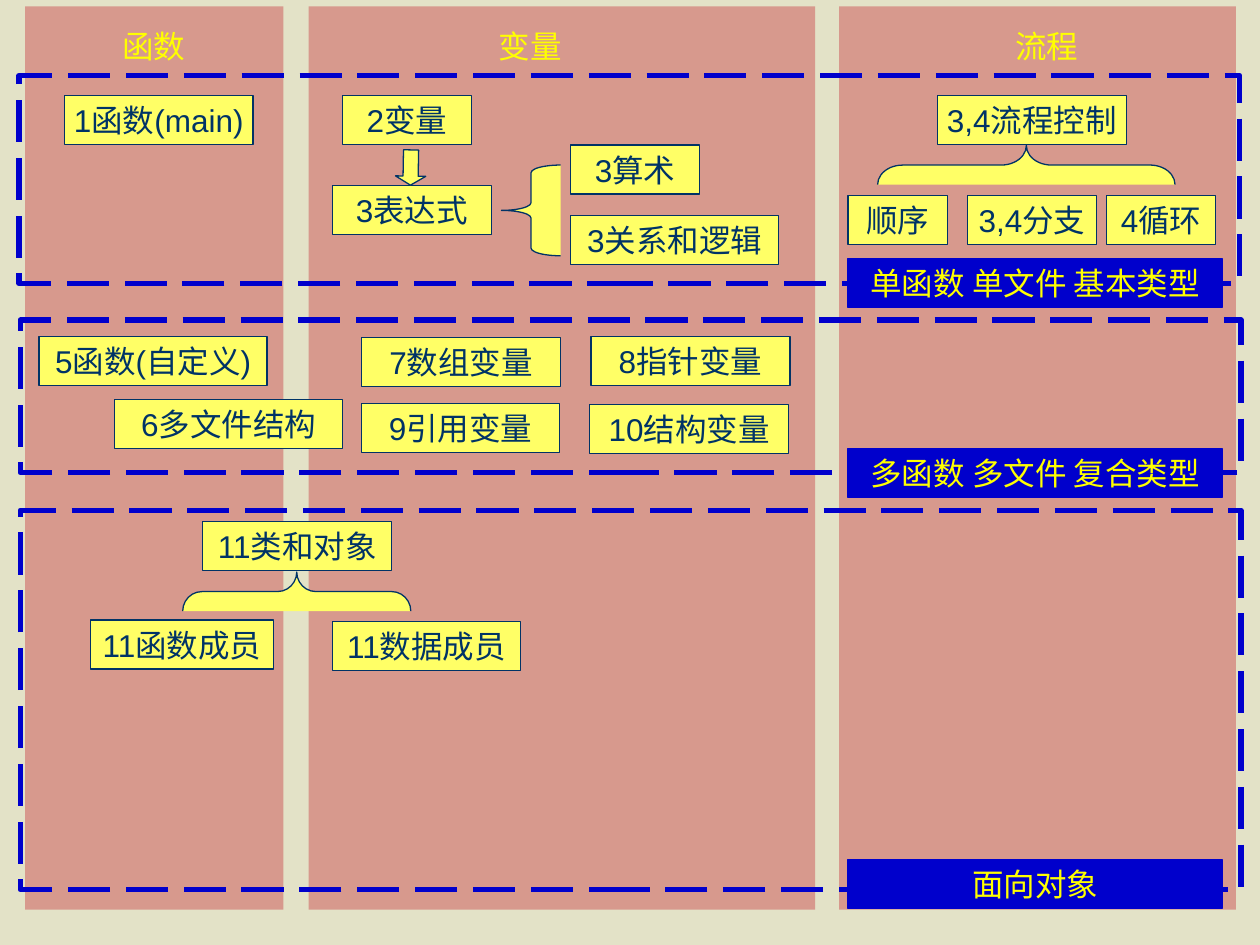
from dataclasses import dataclass

from pptx import Presentation
from pptx.dml.color import RGBColor
from pptx.enum.dml import MSO_LINE
from pptx.enum.shapes import MSO_SHAPE as Geo
from pptx.enum.text import MSO_ANCHOR, PP_ALIGN
from pptx.util import Inches, Pt

CREAM = RGBColor(0xE3, 0xE2, 0xC7)
ROSE = RGBColor(0xD7, 0x99, 0x8D)
LEMON = RGBColor(0xFF, 0xFF, 0x66)
YELLOW = RGBColor(0xFF, 0xFF, 0x00)
NAVY = RGBColor(0x00, 0x33, 0x66)
BLUE = RGBColor(0x00, 0x00, 0xCC)

BOX_H = 0.39
HEADING_W, HEADING_H = 1.1, 0.47
FRAME_W = 9.69
BANNER_X, BANNER_W = 6.73, 2.97


@dataclass(frozen=True)
class Column:
    x: float
    w: float
    heading: str
    heading_x: float


@dataclass(frozen=True)
class Card:
    x: float
    y: float
    w: float
    text: str


@dataclass(frozen=True)
class Stage:
    x: float
    y: float
    h: float
    banner_y: float
    text: str


@dataclass(frozen=True)
class Symbol:
    geo: Geo
    x: float
    y: float
    w: float
    h: float
    rotation: float
    adjustments: tuple[float, float]


COLUMNS = [
    Column(6.66, 3.15, "流程", 7.76),
    Column(2.45, 4.02, "变量", 3.66),
    Column(0.2, 2.05, "函数", 0.67),
]

CARDS = [
    Card(0.51, 0.76, 1.5, "1函数(main)"),
    Card(2.72, 0.76, 1.02, "2变量"),
    Card(2.64, 1.47, 1.26, "3表达式"),
    Card(4.53, 1.15, 1.02, "3算术"),
    Card(4.53, 1.71, 1.65, "3关系和逻辑"),
    Card(7.44, 0.76, 1.5, "3,4流程控制"),
    Card(6.73, 1.55, 0.79, "顺序"),
    Card(7.68, 1.55, 1.02, "3,4分支"),
    Card(8.78, 1.55, 0.87, "4循环"),
    Card(0.31, 2.67, 1.81, "5函数(自定义)"),
    Card(0.91, 3.17, 1.81, "6多文件结构"),
    Card(2.87, 2.68, 1.58, "7数组变量"),
    Card(4.69, 2.67, 1.58, "8指针变量"),
    Card(2.87, 3.2, 1.57, "9引用变量"),
    Card(4.68, 3.21, 1.58, "10结构变量"),
    Card(1.61, 4.14, 1.5, "11类和对象"),
    Card(0.72, 4.92, 1.45, "11函数成员"),
    Card(2.64, 4.93, 1.49, "11数据成员"),
]

SYMBOLS = [
    Symbol(Geo.RIGHT_ARROW, 3.12, 1.21, 0.28, 0.24, 91, (0.5, 0.3)),
    Symbol(Geo.LEFT_BRACE, 3.98, 1.31, 0.47, 0.72, 0, (0.13, 0.5)),
    Symbol(Geo.LEFT_BRACE, 7.99, 0.13, 0.31, 2.36, 90, (0.64, 0.5)),
    Symbol(Geo.LEFT_BRACE, 2.2, 3.79, 0.31, 1.81, 90, (0.49, 0.5)),
]

STAGES = [
    Stage(0.15, 0.6, 1.65, 2.05, "单函数 单文件 基本类型"),
    Stage(0.16, 2.54, 1.21, 3.56, "多函数 多文件 复合类型"),
    Stage(0.16, 4.05, 3.01, 6.82, "面向对象"),
]


def write(sp, text: str, color: RGBColor) -> None:
    tf = sp.text_frame
    frame_format = {
        "word_wrap": False,
        "vertical_anchor": MSO_ANCHOR.MIDDLE,
        "margin_left": Inches(0.1),
        "margin_right": Inches(0.1),
        "margin_top": Inches(0.05),
        "margin_bottom": Inches(0.05),
    }
    for name, value in frame_format.items():
        setattr(tf, name, value)
    p = tf.paragraphs[0]
    p.alignment = PP_ALIGN.CENTER
    r = p.add_run()
    r.text = text
    for name, value in {"name": "Arial", "size": Pt(18)}.items():
        setattr(r.font, name, value)
    r.font.color.rgb = color


def add_shape(s, geo: Geo, x: float, y: float, w: float, h: float,
              fill: RGBColor | None = None, line: RGBColor | None = None,
              weight: float = 0.75):
    sp = s.shapes.add_shape(geo, Inches(x), Inches(y), Inches(w), Inches(h))
    sp.shadow.inherit = False
    if fill is None:
        sp.fill.background()
    else:
        sp.fill.solid()
        sp.fill.fore_color.rgb = fill
    if line is None:
        sp.line.fill.background()
    else:
        sp.line.color.rgb = line
        sp.line.width = Pt(weight)
    return sp


def add_heading(s, column: Column) -> None:
    box = s.shapes.add_textbox(Inches(column.heading_x), Inches(0.13),
                               Inches(HEADING_W), Inches(HEADING_H))
    write(box, column.heading, YELLOW)


def add_card(s, card: Card) -> None:
    sp = add_shape(s, Geo.RECTANGLE, card.x, card.y, card.w, BOX_H, LEMON, NAVY)
    write(sp, card.text, NAVY)


def add_symbol(s, symbol: Symbol) -> None:
    sp = add_shape(s, symbol.geo, symbol.x, symbol.y, symbol.w, symbol.h, LEMON, NAVY)
    sp.rotation = symbol.rotation
    for i, value in enumerate(symbol.adjustments):
        sp.adjustments[i] = value


def add_stage(s, stage: Stage) -> None:
    frame = add_shape(s, Geo.RECTANGLE, stage.x, stage.y, FRAME_W, stage.h,
                      line=BLUE, weight=3)
    frame.line.dash_style = MSO_LINE.LONG_DASH
    banner = add_shape(s, Geo.RECTANGLE, BANNER_X, stage.banner_y, BANNER_W, BOX_H,
                       BLUE, BLUE)
    write(banner, stage.text, YELLOW)


def main() -> None:
    prs = Presentation()
    prs.slide_width, prs.slide_height = Inches(10), Inches(7.5)
    s = prs.slides.add_slide(prs.slide_layouts[6])
    s.background.fill.solid()
    s.background.fill.fore_color.rgb = CREAM
    for column in COLUMNS:
        add_shape(s, Geo.RECTANGLE, column.x, 0.05, column.w, 7.17, ROSE)
    for card in CARDS:
        add_card(s, card)
    for symbol in SYMBOLS:
        add_symbol(s, symbol)
    for stage in STAGES:
        add_stage(s, stage)
    for column in COLUMNS:
        add_heading(s, column)
    prs.save("out.pptx")


if __name__ == "__main__":
    main()
